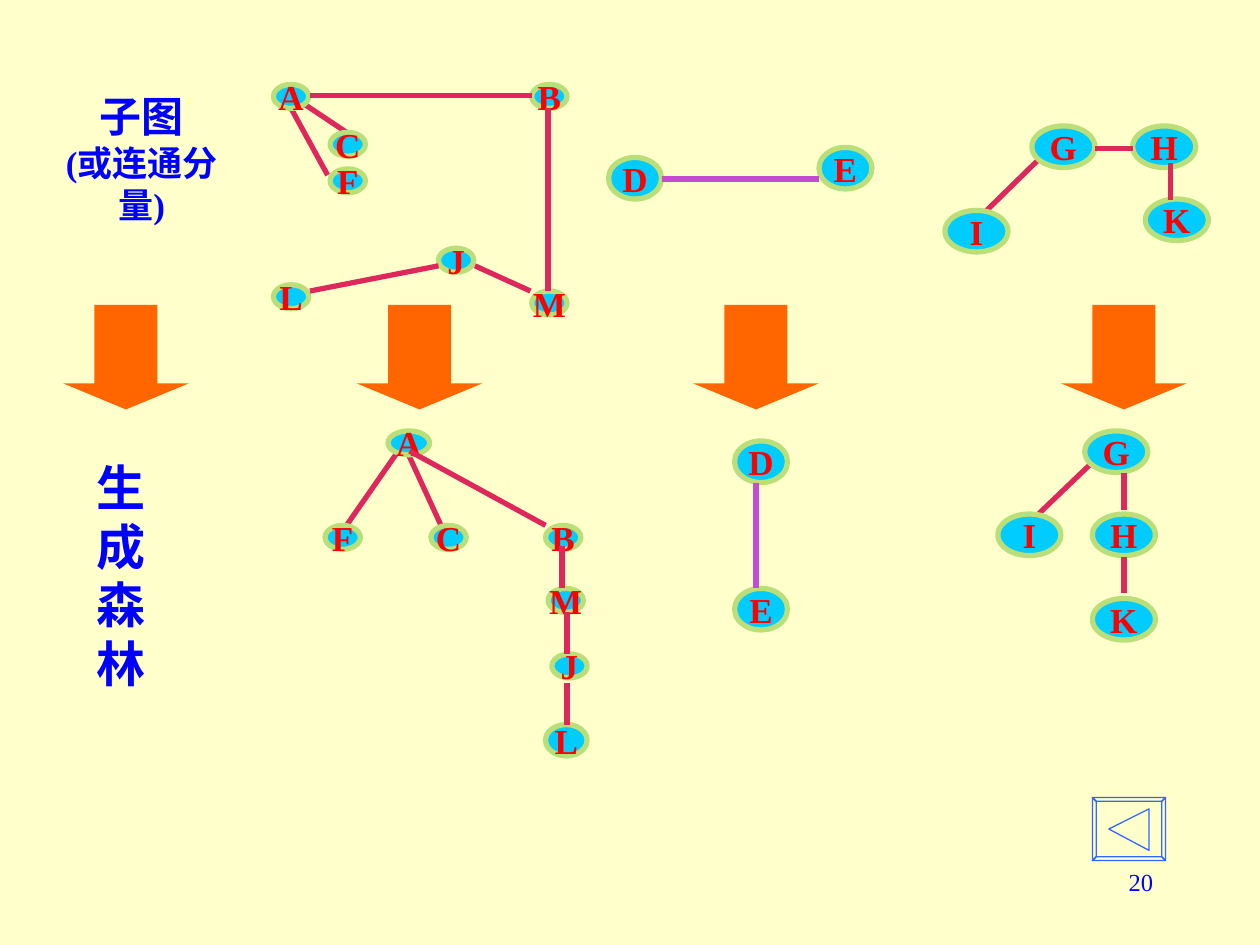
from lxml.etree import SubElement
from pptx import Presentation
from pptx.dml.color import RGBColor
from pptx.enum.shapes import MSO_CONNECTOR as Connector, MSO_SHAPE as Shape
from pptx.enum.text import MSO_ANCHOR as Anchor, MSO_AUTO_SIZE as AutoSize, PP_ALIGN as Align
from pptx.oxml.ns import qn
from pptx.util import Inches, Pt

COLORS = {
    "background": "FFFFCC", "node": "00CCFF", "rim": "BADE78", "letter": "FF0000",
    "edge": "DE285C", "pair": "C64BD3", "arrow": "FF6600", "text": "0000FF",
    "button": "3366FF",
}
FONT = "Times New Roman"
SMALL, MEDIUM, LARGE = (0.28, 0.19), (0.42, 0.33), (0.5, 0.33)

GRAPHS = [
    {"size": MEDIUM, "color": "pair",
     "nodes": {"D": (4.83, 1.25), "E": (6.5, 1.17)},
     "under": [],
     "over": [(5.25, 1.42, 6.5, 1.42)]},
    {"size": LARGE, "color": "edge",
     "nodes": {"G": (8.19, 1), "H": (8.99, 1), "I": (7.5, 1.67), "K": (9.09, 1.58)},
     "under": [(8.27, 1.24, 7.8, 1.7)],
     "over": [(8.69, 1.18, 8.99, 1.18), (9.29, 1.29, 9.29, 1.59)]},
    {"size": SMALL, "color": "edge",
     "nodes": {"A": (2.17, 0.67), "B": (4.22, 0.67), "C": (2.62, 1.05), "F": (2.62, 1.34),
               "J": (3.48, 1.97), "L": (2.17, 2.26), "M": (4.22, 2.31)},
     "under": [(2.39, 0.81, 2.75, 1.05), (2.31, 0.86, 2.6, 1.39)],
     "over": [(2.46, 0.76, 4.22, 0.76), (4.35, 0.86, 4.35, 2.31),
              (3.77, 2.11, 4.21, 2.31), (2.46, 2.31, 3.48, 2.11)]},
    {"size": SMALL, "color": "edge",
     "nodes": {"A": (3.08, 3.42, 0.33, 0.19), "B": (4.33, 4.17), "C": (3.42, 4.17),
               "F": (2.58, 4.17), "J": (4.38, 5.19), "L": (4.33, 5.75, 0.33, 0.25),
               "M": (4.35, 4.67)},
     "under": [(3.22, 3.56, 3.5, 4.17), (3.14, 3.61, 2.75, 4.17)],
     "over": [(3.25, 3.58, 4.33, 4.17), (4.46, 4.33, 4.46, 4.67),
              (4.5, 4.86, 4.5, 5.19), (4.5, 5.42, 4.5, 5.75)]},
    {"size": MEDIUM, "color": "pair",
     "nodes": {"D": (5.83, 3.5), "E": (5.83, 4.67)},
     "under": [],
     "over": [(6, 3.83, 6, 4.67)]},
    {"size": LARGE, "color": "edge",
     "nodes": {"G": (8.61, 3.42), "H": (8.67, 4.08), "I": (7.92, 4.08), "K": (8.67, 4.75)},
     "under": [(8.69, 3.65, 8.21, 4.11)],
     "over": [(8.92, 3.75, 8.92, 4.05), (8.92, 4.42, 8.92, 4.71)]},
]
ARROW_LEFTS = [0.5, 2.83, 5.5, 8.42]
LABELS = [
    {"at": (0.25, 0.67, 1.75, 1.17), "lines": [("子图", 24), ("(或连通分量)", 20)],
     "align": Align.CENTER, "bold": True, "fit": AutoSize.SHAPE_TO_FIT_TEXT},
    {"at": (0.67, 3.58, 0.67, 1.97), "lines": [("生成森林", 28)],
     "align": Align.LEFT, "bold": True, "fit": AutoSize.SHAPE_TO_FIT_TEXT},
    {"at": (7.17, 6.83, 2.08, 0.5), "lines": [("20", 14)],
     "align": Align.RIGHT, "bold": False, "fit": AutoSize.NONE},
]
BUTTON = (8.67, 6.33, 9.25, 6.83)
BEVEL = 0.03
BUTTON_TRIANGLE = [(9.12, 6.42), (8.8, 6.58), (9.12, 6.75)]


def color(name):
    return RGBColor.from_string(COLORS[name])


def inches(values):
    return [Inches(value) for value in values]


def write(para, text, size, ink, bold, align):
    para.alignment = align
    span = para.add_run()
    span.text = text
    span.font.color.rgb = color(ink)
    for name, value in {"name": FONT, "size": Pt(size), "bold": bold}.items():
        setattr(span.font, name, value)


def paint(shape, fill, line=None, width=3):
    shape.shadow.inherit = False
    if fill:
        shape.fill.solid()
        shape.fill.fore_color.rgb = color(fill)
    else:
        shape.fill.background()
    if line:
        shape.line.color.rgb = color(line)
        shape.line.width = Pt(width)
    else:
        shape.line.fill.background()


def add_edge(shapes, ends, ink):
    edge = shapes.add_connector(Connector.STRAIGHT, *inches(ends))
    edge.line.color.rgb = color(ink)
    edge.line.width = Pt(3)
    SubElement(edge._element.spPr, qn("a:effectLst"))


def add_node(shapes, letter, place, size):
    node = shapes.add_shape(Shape.OVAL, *inches((*place, *size)[:4]))
    paint(node, "node", "rim")
    frame = node.text_frame
    frame.word_wrap = False
    frame.vertical_anchor = Anchor.MIDDLE
    write(frame.paragraphs[0], letter, 20, "letter", True, Align.CENTER)


def add_graph(page, graph):
    shapes = page.shapes.add_group_shape().shapes
    for ends in graph["under"]:
        add_edge(shapes, ends, graph["color"])
    for letter, place in graph["nodes"].items():
        size = place[2:] or graph["size"]
        add_node(shapes, letter, place[:2], size)
    for ends in graph["over"]:
        add_edge(shapes, ends, graph["color"])


def add_label(page, label):
    frame = page.shapes.add_textbox(*inches(label["at"])).text_frame
    frame.word_wrap = True
    frame.auto_size = label["fit"]
    for index, (text, size) in enumerate(label["lines"]):
        para = frame.add_paragraph() if index else frame.paragraphs[0]
        write(para, text, size, "text", label["bold"], label["align"])


def corners(left, top, right, bottom):
    return [(left, top), (right, top), (right, bottom), (left, bottom)]


def add_back_button(page):
    left, top, right, bottom = BUTTON
    outer = corners(*BUTTON)
    inner = corners(left + BEVEL, top + BEVEL, right - BEVEL, bottom - BEVEL)
    sides = [[outer[i - 1], outer[i], inner[i], inner[i - 1]] for i in range(4)]
    outlines = [[inches(point) for point in outline]
                for outline in [outer, *sides, BUTTON_TRIANGLE]]
    builder = page.shapes.build_freeform(*outlines[0][0])
    for index, (start, *rest) in enumerate(outlines):
        if index:
            builder.move_to(*start)
        builder.add_line_segments(rest, close=True)
    paint(builder.convert_to_shape(), None, "button", 0.75)


def main():
    deck = Presentation()
    deck.slide_width, deck.slide_height = Inches(10), Inches(7.5)
    page = deck.slides.add_slide(deck.slide_layouts[6])
    page.background.fill.solid()
    page.background.fill.fore_color.rgb = color("background")
    add_back_button(page)
    for graph in GRAPHS:
        add_graph(page, graph)
    for left in ARROW_LEFTS:
        arrow = page.shapes.add_shape(Shape.DOWN_ARROW, *inches((left, 2.42, 1, 0.83)))
        arrow.adjustments[0], arrow.adjustments[1] = 0.5, 0.25
        paint(arrow, "arrow")
    for label in LABELS:
        add_label(page, label)
    deck.save("out.pptx")


if __name__ == "__main__":
    main()
